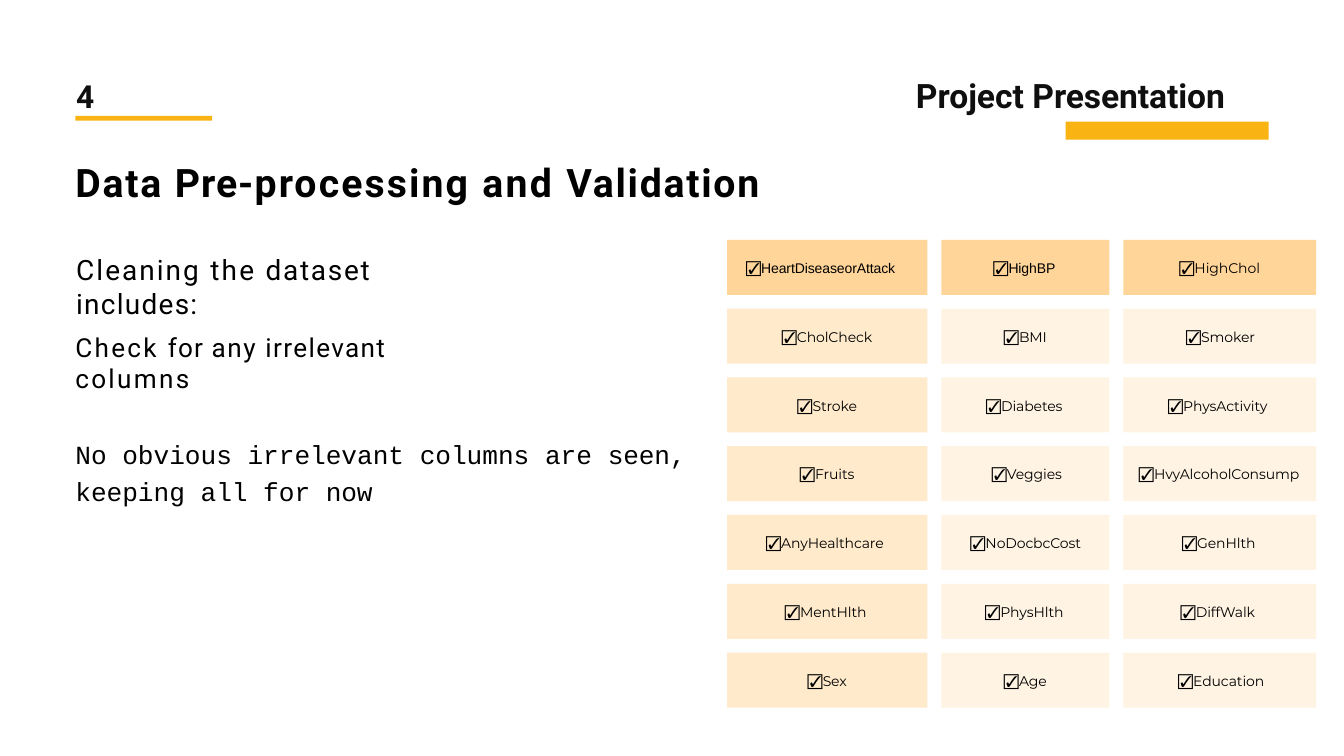
from pptx import Presentation
from pptx import util as u
from pptx.dml.color import RGBColor
from pptx.enum import shapes, text
from pptx.oxml.ns import qn
from lxml import etree

AMBER = RGBColor(0xF9, 0xB3, 0x13)
HEADER = RGBColor(0xFF, 0xD5, 0x99)
FIRST_COLUMN = RGBColor(0xFF, 0xEB, 0xCC)
BODY = RGBColor(0xFF, 0xF4, 0xE3)
BLACK = RGBColor(0, 0, 0)
INK = RGBColor(0x0F, 0x0F, 0x0F)

prs = Presentation()
prs.slide_width, prs.slide_height = u.Cm(50.8), u.Cm(28.58)
s = prs.slides.add_slide(prs.slide_layouts[6])


def add_rect(x, y, w, h, color):
    sp = s.shapes.add_shape(shapes.MSO_SHAPE.RECTANGLE, u.Cm(x), u.Cm(y), u.Cm(w), u.Cm(h))
    sp.shadow.inherit = False
    sp.fill.solid()
    sp.fill.fore_color.rgb = color
    sp.line.fill.background()
    return sp


def add_run(p, words, spacing, color, **font):
    """Add a run; spacing is the space between letters in points."""
    r = p.add_run()
    r.text = words
    r.font.color.rgb = color
    for key, value in font.items():
        setattr(r.font, key, value)
    rPr = r._r.get_or_add_rPr()
    rPr.set("spc", str(round(spacing * 100)))
    etree.SubElement(rPr, qn("a:ea")).set("typeface", font["name"])


# Accent bars
add_rect(2.85, 4.38, 5.17, 0.18, AMBER)
add_rect(40.28, 4.6, 7.67, 0.68, AMBER)

# Grid of dataset columns: name and left indent in cm (None is centred)
ROWS = [
    [("HeartDiseaseorAttack", 0.71), ("HighBP", 1.96), ("HighChol", 2.11)],
    [("CholCheck", 2.06), ("BMI", None), ("Smoker", 2.36)],
    [("Stroke", None), ("Diabetes", 1.68), ("PhysActivity", 1.68)],
    [("Fruits", None), ("Veggies", 1.9), ("HvyAlcoholConsump", 0.58)],
    [("AnyHealthcare", 1.47), ("NoDocbcCost", 1.09), ("GenHlth", 2.21)],
    [("MentHlth", 2.18), ("PhysHlth", 1.65), ("DiffWalk", 2.16)],
    [("Sex", None), ("Age", None), ("Education", 2.06)],
]
WIDTHS = [7.57, 6.35, 7.29]
LEFT, TOP, HEIGHT, GAP, PITCH = 27.48, 9.07, 2.08, 0.53, 2.6

for row, cells in enumerate(ROWS):
    x = LEFT
    for col, ((name, indent), width) in enumerate(zip(cells, WIDTHS)):
        color = HEADER if row == 0 else FIRST_COLUMN if col == 0 else BODY
        tf = add_rect(x, TOP + row * PITCH, width, HEIGHT, color).text_frame
        tf.vertical_anchor = text.MSO_ANCHOR.MIDDLE
        tf.margin_left = u.Cm(indent or 0)
        tf.margin_right = tf.margin_top = tf.margin_bottom = 0
        p = tf.paragraphs[0]
        p.alignment = text.PP_ALIGN.CENTER if indent is None else text.PP_ALIGN.LEFT
        face = "Arial" if row == 0 and col < 2 else "Montserrat"
        add_run(p, "☑", -0.1, BLACK, name="Noto Sans CJK JP", size=u.Pt(16.5))
        add_run(p, name, -0.1, BLACK, name=face, size=u.Pt(15))
        x += width + GAP

# Text blocks: box in cm, font, size, bold, colour, line spacing, (words, letter spacing)
BLOCKS = [
    ((2.82, 5.94, 28.68, 1.85), "Roboto", 42, True, BLACK, 1,
     [("Data ", 1.9), ("Pre-", 1.1), ("processing ", 2.3), ("and ", 2.4), ("Validation", 1.9)]),
    ((2.85, 2.87, 0.84, 1.5), "Roboto", 34, True, INK, 1, [("4", -0.5)]),
    ((34.59, 2.79, 13.39, 1.6), "Roboto", 36, True, INK, 1,
     [("Project ", 0), ("Presentation", -0.1)]),
    ((2.85, 9.53, 15.93, 1.35), "Roboto", 30, False, BLACK, 1,
     [("Cleaning ", 2.2), ("the ", 2.4), ("dataset ", 1.9), ("includes:", 1.4)]),
    ((2.82, 12.5, 16.21, 1.24), "Roboto", 28, False, BLACK, 1,
     [("Check ", 2.5), ("for ", 1.2), ("any ", 1.7), ("irrelevant ", 1.5), ("columns", 2.5)]),
    ((2.82, 16.36, 23.4, 2.82), "Courier New", 28, False, BLACK, 1.16,
     [("No obvious irrelevant columns are ", 0), ("seen, ", -0.1),
      ("keeping all for ", 0), ("now", -0.2)]),
]
for box, face, size, bold, color, leading, runs in BLOCKS:
    tf = s.shapes.add_textbox(*map(u.Cm, box)).text_frame
    tf.word_wrap = True
    tf.margin_left = tf.margin_top = u.Cm(0.03)
    tf.margin_right = tf.margin_bottom = 0
    p = tf.paragraphs[0]
    p.space_before = u.Pt(1)
    p.line_spacing = leading
    for words, spacing in runs:
        add_run(p, words, spacing, color, name=face, size=u.Pt(size), bold=bold)

prs.save("out.pptx")
